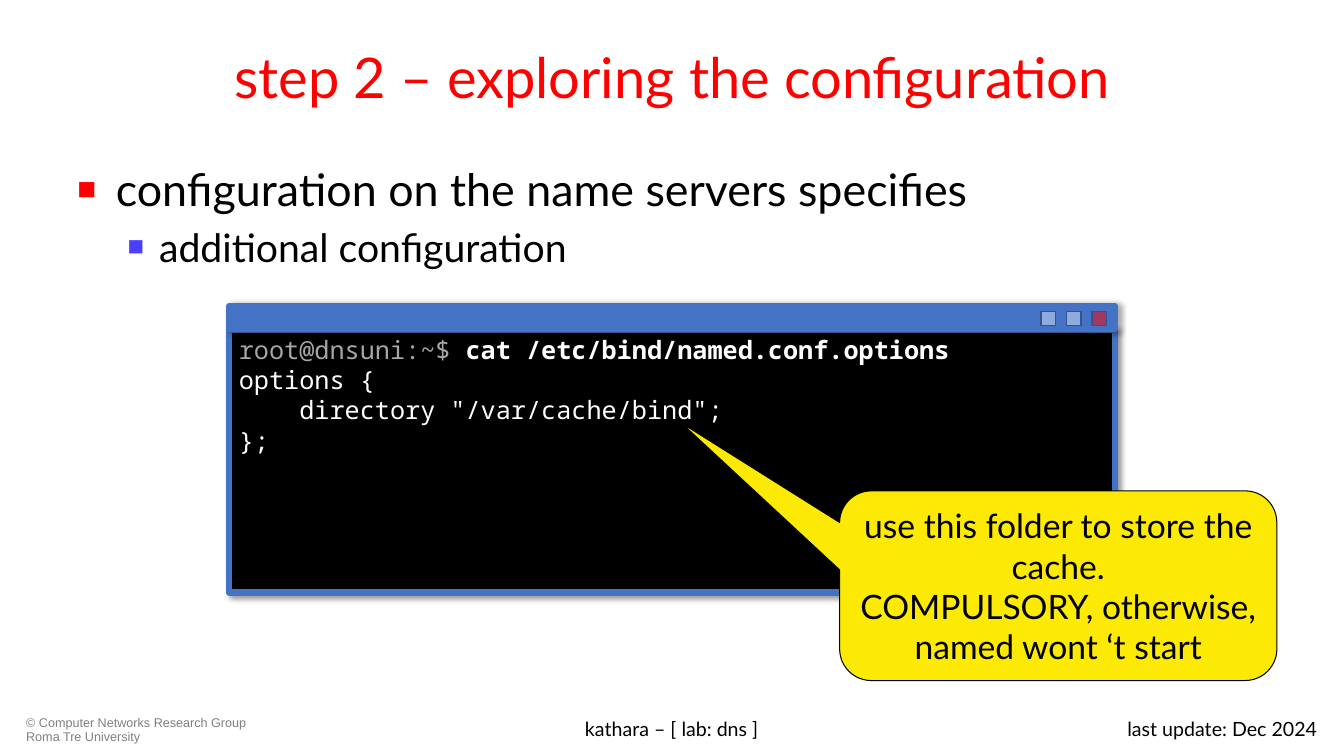
from dataclasses import dataclass

from lxml.etree import SubElement
from pptx import Presentation
from pptx.dml.color import RGBColor
from pptx.enum.shapes import MSO_SHAPE as Preset
from pptx.enum.text import MSO_ANCHOR as Anchor, MSO_AUTO_SIZE as AutoSize, PP_ALIGN as Align
from pptx.oxml.ns import qn
from pptx.util import Cm, Pt


@dataclass(frozen=True)
class Theme:
    """Colours, fonts and type sizes of the slide."""
    red: str = "FF0000"
    violet: str = "483FFF"
    black: str = "000000"
    white: str = "FFFFFF"
    prompt: str = "A6A6A6"
    credit: str = "808080"
    frame: str = "4472C4"
    button: str = "8FAADC"
    button_edge: str = "325491"
    yellow: str = "FCEA04"
    sans: str = "Lato"
    mono: str = "Noto Sans Mono"
    small: str = "Arial"
    title_size: int = 40
    item_size: int = 32
    subitem_size: int = 28
    callout_size: int = 24
    code_size: int = 18
    footer_size: int = 14
    credit_size: int = 9


@dataclass(frozen=True)
class Box:
    """A rectangle in centimetres."""
    left: float
    top: float
    width: float
    height: float

    def lengths(self):
        """Return the four sides as lengths."""
        return Cm(self.left), Cm(self.top), Cm(self.width), Cm(self.height)


THEME = Theme()


def add_run(paragraph, text, size, color, face=THEME.sans, bold=False):
    """Append one formatted run."""
    run = paragraph.add_run()
    run.text = text
    font = run.font
    font.name, font.size, font.bold = face, Pt(size), bold
    font.color.rgb = RGBColor.from_string(color)


def next_paragraph(frame, index, align=Align.LEFT):
    """Return the first paragraph, or a new one after it."""
    paragraph = frame.add_paragraph() if index else frame.paragraphs[0]
    paragraph.alignment = align
    return paragraph


def add_panel(shapes, box, fill, edge, edge_width, preset=Preset.RECTANGLE):
    """Draw a filled and outlined shape without a shadow."""
    panel = shapes.add_shape(preset, *box.lengths())
    panel.shadow.inherit = False
    panel.fill.solid()
    panel.fill.fore_color.rgb = RGBColor.from_string(fill)
    panel.line.color.rgb = RGBColor.from_string(edge)
    panel.line.width = Pt(edge_width)
    return panel


def cast_shadow(panel, opacity, distance, degrees):
    """Give a panel a soft black outer shadow."""
    effects = panel.element.spPr.find(qn("a:effectLst"))
    shadow = SubElement(effects, qn("a:outerShdw"), blurRad=str(Pt(4)), dist=str(Pt(distance)),
                        dir=str(degrees * 60000), algn="tl", rotWithShape="0")
    color = SubElement(shadow, qn("a:srgbClr"), val=THEME.black)
    SubElement(color, qn("a:alpha"), val=str(opacity * 1000))


def add_bullet(paragraph, color, margin, hanging):
    """Give a paragraph a coloured square bullet."""
    properties = paragraph._p.get_or_add_pPr()
    properties.set("marL", str(Cm(margin)))
    properties.set("indent", str(-Cm(hanging)))
    bullet_color = SubElement(properties, qn("a:buClr"))
    SubElement(bullet_color, qn("a:srgbClr"), val=color)
    SubElement(properties, qn("a:buSzPct"), val="70000")
    SubElement(properties, qn("a:buFont"), typeface=THEME.small)
    SubElement(properties, qn("a:buChar"), char="■")


def place_title(slide, box, text):
    """Move and format the title placeholder."""
    title = slide.shapes.title
    title.left, title.top, title.width, title.height = box.lengths()
    frame = title.text_frame
    frame.auto_size = AutoSize.NONE
    frame.vertical_anchor = Anchor.MIDDLE
    add_run(next_paragraph(frame, 0, Align.CENTER), text, THEME.title_size, THEME.red)


def add_outline(slide, box):
    """Write the bulleted text."""
    frame = slide.shapes.add_textbox(*box.lengths()).text_frame
    frame.word_wrap = True
    items = [
        ("configuration on the name servers specifies", THEME.item_size, THEME.red, 0.97, 0.97),
        ("additional configuration", THEME.subitem_size, THEME.violet, 2.06, 0.79),
    ]
    for level, (text, size, color, margin, hanging) in enumerate(items):
        paragraph = next_paragraph(frame, level)
        paragraph.level = level
        add_bullet(paragraph, color, margin, hanging)
        if level:
            paragraph.space_before = Pt(0.2 * size)
        add_run(paragraph, text, size, THEME.black)


def add_terminal(slide, box):
    """Draw the terminal window with its title bar and buttons."""
    window = slide.shapes.add_group_shape().shapes
    bar_height, button_side, button_pitch = 0.58, 0.36, 0.64
    screen_box = Box(box.left, box.top + bar_height, box.width, box.height - bar_height)
    screen = add_panel(window, screen_box, THEME.black, THEME.frame, 4.5)
    cast_shadow(screen, 40, 3, 45)
    frame = screen.text_frame
    frame.word_wrap = True
    frame.vertical_anchor = Anchor.TOP
    lines = [
        [("root@dnsuni:~$ ", THEME.prompt, False),
         ("cat /etc/bind/named.conf.options", THEME.white, True)],
        [("options {", THEME.white, False)],
        [("    directory \"/var/cache/bind\";", THEME.white, False)],
        [("};", THEME.white, False)],
    ]
    for index, line in enumerate(lines):
        paragraph = next_paragraph(frame, index)
        for text, color, bold in line:
            add_run(paragraph, text, THEME.code_size, color, THEME.mono, bold)

    bar_box = Box(box.left, box.top, box.width, bar_height)
    cast_shadow(add_panel(window, bar_box, THEME.frame, THEME.frame, 4.5), 32, 2, 0)
    for place, color in enumerate([THEME.red, THEME.button, THEME.button]):
        left = box.left + box.width - 0.58 - place * button_pitch
        button_box = Box(left, box.top + 0.13, button_side, button_side)
        button = add_panel(window, button_box, color, THEME.button_edge, 1)
        if color == THEME.red:
            tint = button.element.spPr.find(qn("a:solidFill")).find(qn("a:srgbClr"))
            SubElement(tint, qn("a:alpha"), val="50000")


def add_callout(slide, box):
    """Draw the balloon that points at the cache folder."""
    balloon = add_panel(slide.shapes, box, THEME.yellow, THEME.black, 0.75,
                        Preset.ROUNDED_RECTANGULAR_CALLOUT)
    for index, value in enumerate([-0.862, -0.858, 0.167]):
        balloon.adjustments[index] = value
    frame = balloon.text_frame
    frame.word_wrap = True
    frame.vertical_anchor = Anchor.MIDDLE
    sentences = ["use this folder to store the cache.",
                 "COMPULSORY, otherwise, named wont ‘t start"]
    for index, sentence in enumerate(sentences):
        add_run(next_paragraph(frame, index, Align.CENTER), sentence,
                THEME.callout_size, THEME.black)


def add_footer(slide, box):
    """Write the credit, lab name and date along the bottom."""
    label = (THEME.footer_size, THEME.black, THEME.sans)
    entries = [
        ("© Computer Networks Research Group Roma Tre University", 0, 6.32, Align.LEFT, 0.9,
         (THEME.credit_size, THEME.credit, THEME.small)),
        ("kathara – [ lab: dns ]", 8.25, 16.54, Align.CENTER, 1, label),
        ("last update: Dec 2024", box.width - 7.72, 7.72, Align.RIGHT, 1, label),
    ]
    for text, offset, width, align, spacing, style in entries:
        entry_box = Box(box.left + offset, box.top, width, box.height)
        frame = slide.shapes.add_textbox(*entry_box.lengths()).text_frame
        frame.word_wrap = True
        paragraph = next_paragraph(frame, 0, align)
        paragraph.line_spacing = spacing
        add_run(paragraph, text, *style)


def main():
    """Build and save the slide."""
    deck = Presentation()
    deck.slide_width, deck.slide_height = Cm(33.87), Cm(19.05)
    slide = deck.slides.add_slide(deck.slide_layouts.get_by_name("Title Only"))
    place_title(slide, Box(1.7, 0.33, 30.48, 3.18), "step 2 – exploring the configuration")
    add_outline(slide, Box(1.7, 3.94, 30.48, 13.08))
    add_footer(slide, Box(0.41, 17.93, 33.04, 0.91))
    add_terminal(slide, Box(5.77, 7.72, 22.33, 7.21))
    add_callout(slide, Box(21.16, 12.37, 11.02, 4.78))
    deck.save("out.pptx")


if __name__ == "__main__":
    main()
